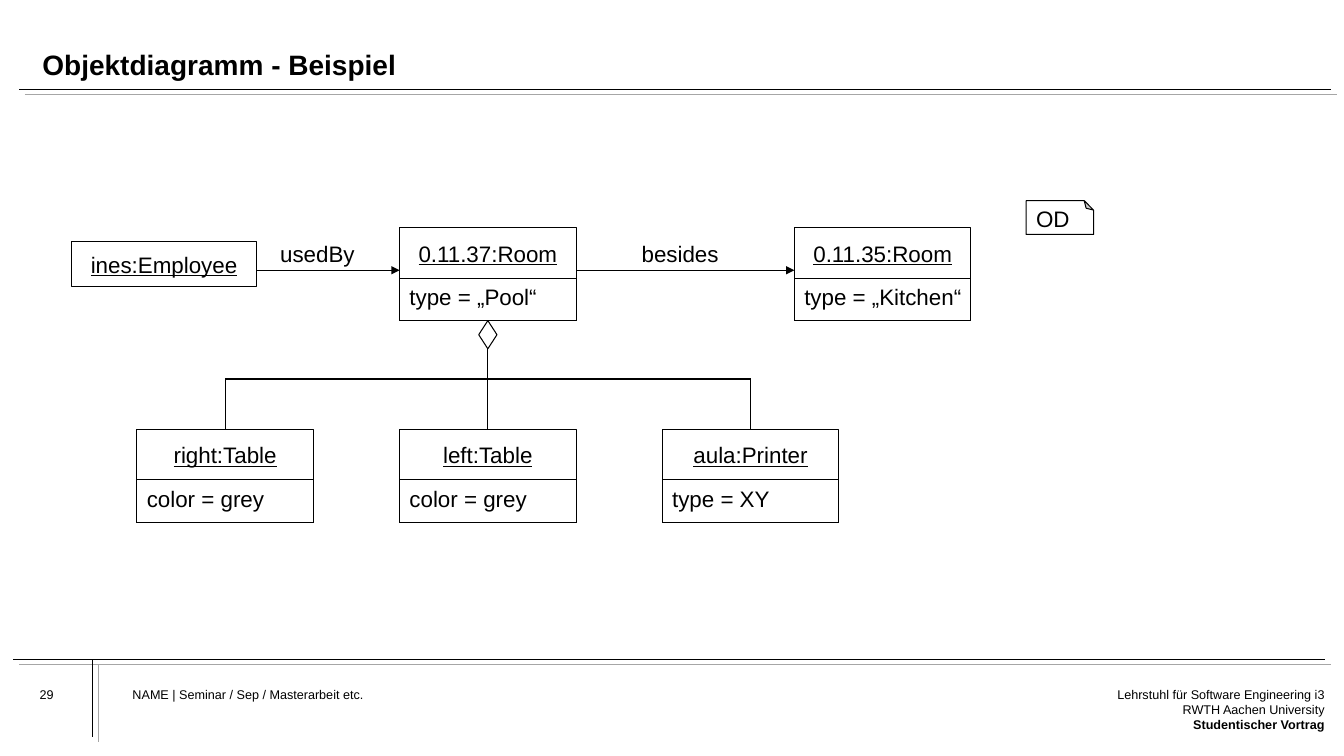
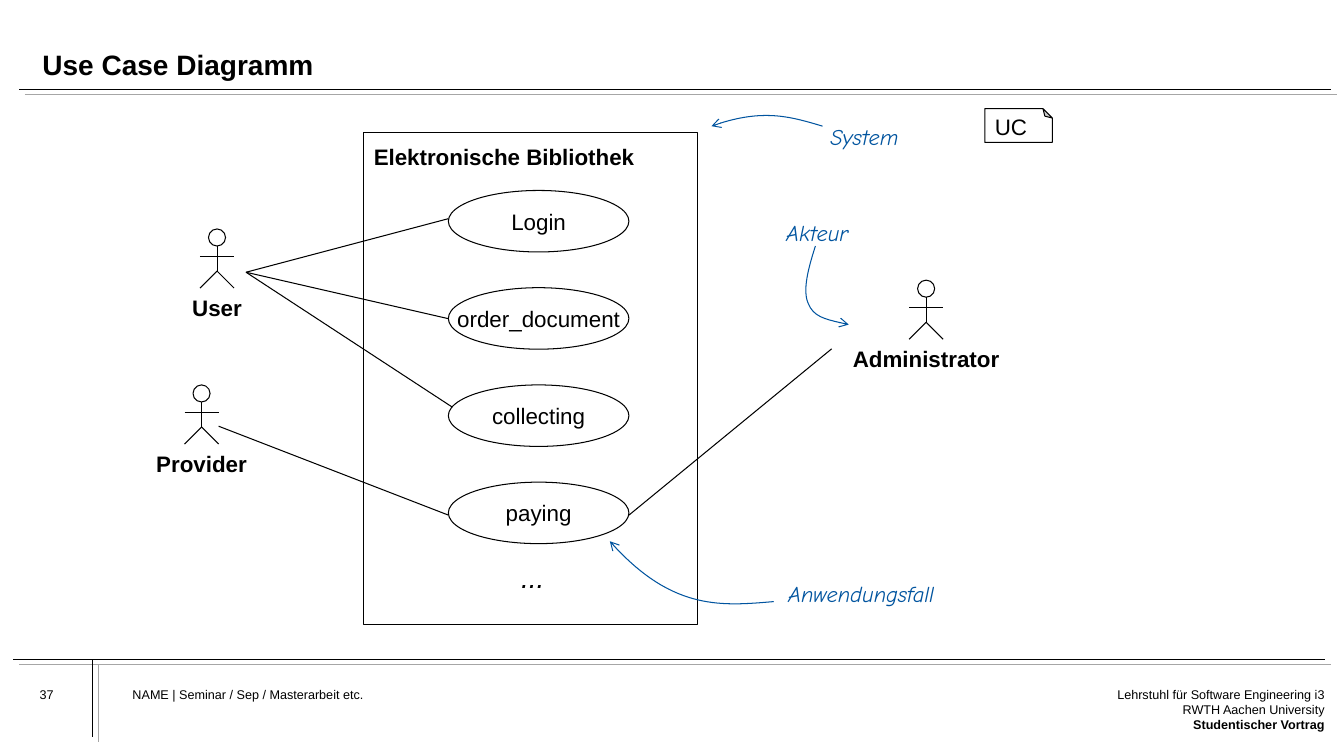
from dataclasses import dataclass
from typing import Optional

from lxml.etree import SubElement
from pptx import Presentation
from pptx.dml.color import RGBColor
from pptx.enum.shapes import MSO_AUTO_SHAPE_TYPE as Preset, MSO_CONNECTOR_TYPE as Link
from pptx.enum.text import MSO_ANCHOR as Anchor, PP_ALIGN as Align
from pptx.oxml.ns import qn
from pptx.shapes.autoshape import Shape
from pptx.slide import Slide
from pptx.util import Cm, Pt

Point = tuple[float, float]
Bounds = tuple[float, float, float, float]

# Colours and text formats
BLACK, GREY, WHITE, BLUE = "000000", "A6A6A6", "FFFFFF", "00549F"
BODY = {"name": "Arial", "size": Pt(16)}
STRONG = BODY | {"bold": True}
OBJECT_NAME = BODY | {"underline": True}
TITLE = STRONG | {"size": Pt(20)}
ELLIPSIS = BODY | {"size": Pt(20), "italic": True}
SMALL = BODY | {"size": Pt(9)}
SMALL_STRONG = SMALL | {"bold": True}
REMARK = {"name": "Comic Neue", "size": Pt(16), "italic": True}

NO_INSETS = (0, 0, 0, 0)
TEXT_INSETS = (0.25, 0.13, 0.25, 0.13)

# Object boxes
OBJECT_WIDTH, NAME_HEIGHT, ATTRIBUTE_HEIGHT = 4.45, 1.27, 1.07
OBJECT_HEIGHT = NAME_HEIGHT + ATTRIBUTE_HEIGHT


@dataclass
class ObjectBox:
    name: str
    attribute: str
    left: float
    top: float

    @property
    def middle(self) -> float:
        return self.left + OBJECT_WIDTH / 2


@dataclass
class Actor:
    name: str
    middle: float
    top: float


@dataclass
class Remark:
    text: str
    bounds: Bounds
    curve: list[Point]


# Basic parts
def colour(value: str) -> RGBColor:
    return RGBColor.from_string(value)


def write(shape: Shape, lines: list[tuple[str, dict]], ink: str = BLACK,
          align: Align = Align.LEFT, anchor: Anchor = Anchor.TOP, wrap: bool = True,
          insets: Bounds = TEXT_INSETS, spacing: float = 1.0) -> None:
    frame = shape.text_frame
    frame_format = {"word_wrap": wrap, "vertical_anchor": anchor}
    sides = ("margin_left", "margin_top", "margin_right", "margin_bottom")
    frame_format |= {side: Cm(inset) for side, inset in zip(sides, insets)}
    for key, value in frame_format.items():
        setattr(frame, key, value)
    for index, (text, font_format) in enumerate(lines):
        para = frame.add_paragraph() if index else frame.paragraphs[0]
        para.alignment, para.line_spacing = align, spacing
        span = para.add_run()
        span.text = text
        for key, value in font_format.items():
            setattr(span.font, key, value)
        span.font.color.rgb = colour(ink)


def add_text(page: Slide, bounds: Bounds, lines: list[tuple[str, dict]], **layout) -> None:
    write(page.shapes.add_textbox(*map(Cm, bounds)), lines, **layout)


def add_outline(page: Slide, preset: Preset, bounds: Bounds,
                fill: Optional[str] = None) -> Shape:
    shape = page.shapes.add_shape(preset, *map(Cm, bounds))
    shape.shadow.inherit = False
    if fill:
        shape.fill.solid()
        shape.fill.fore_color.rgb = colour(fill)
    else:
        shape.fill.background()
    set_line(shape, BLACK)
    return shape


def set_line(shape, ink: str, width: float = 0.75, arrow: Optional[str] = None) -> None:
    shape.line.color.rgb = colour(ink)
    shape.line.width = Pt(width)
    if arrow:
        outline = shape.element.spPr.find(qn("a:ln"))
        SubElement(outline, qn("a:tailEnd"), type=arrow)


def add_line(page: Slide, start: Point, end: Point, ink: str = BLACK,
             width: float = 0.75, arrow: Optional[str] = None) -> None:
    line = page.shapes.add_connector(Link.STRAIGHT, *map(Cm, start + end))
    set_line(line, ink, width, arrow)
    SubElement(line.element.spPr, qn("a:effectLst"))


def add_curve(page: Slide, points: list[Point]) -> None:
    start, *others = [(Cm(x), Cm(y)) for x, y in points]
    builder = page.shapes.build_freeform(*start)
    builder.add_line_segments(others, close=False)
    curve = builder.convert_to_shape()
    curve.shadow.inherit = False
    curve.fill.background()
    set_line(curve, BLUE, arrow="arrow")
    # Every three points after the start form one cubic segment
    segments = list(curve.element.iter(qn("a:lnTo")))
    for index in range(0, len(segments), 3):
        cubic = SubElement(segments[index].getparent(), qn("a:cubicBezTo"))
        for segment in segments[index:index + 3]:
            cubic.append(segment[0])
            segment.getparent().remove(segment)


# Shared frame: title, rules, footer and diagram tag
def add_frame(deck, title: str, number: int) -> Slide:
    page = deck.slides.add_slide(deck.slide_layouts[6])
    rules = [((0.48, 2.26), (33.55, 2.26)),
             ((0.33, 16.61), (33.38, 16.61)),
             ((2.34, 16.61), (2.34, 18.57))]
    for (x1, y1), (x2, y2) in rules:
        add_line(page, (x1, y1), (x2, y2), BLACK, 0.5)
        add_line(page, (x1 + 0.15, y1 + 0.13), (x2 + 0.15, y2 + 0.13), GREY, 0.5)
    add_text(page, (1.07, 0.56, 31.9, 1.5), [(title, TITLE)],
             anchor=Anchor.BOTTOM, insets=NO_INSETS, spacing=0.9)
    add_text(page, (1, 17.3, 2, 1.1), [(str(number), SMALL)], insets=NO_INSETS)
    add_text(page, (3.34, 17.3, 19.45, 1.75),
             [("NAME | Seminar / Sep / Masterarbeit etc.", SMALL)], insets=NO_INSETS)
    add_text(page, (25.9, 17.3, 7.48, 1.75),
             [("Lehrstuhl für Software Engineering i3", SMALL),
              ("RWTH Aachen University", SMALL),
              ("Studentischer Vortrag", SMALL_STRONG)],
             align=Align.RIGHT, insets=NO_INSETS)
    return page


def add_tag(page: Slide, text: str, left: float, top: float) -> None:
    tag = add_outline(page, Preset.FOLDED_CORNER, (left, top, 1.7, 0.85), WHITE)
    write(tag, [(text, BODY)], anchor=Anchor.MIDDLE, wrap=False, spacing=0.7)
    # The fold sits at the top, the text stays upright
    geometry = tag.element.spPr.find(qn("a:prstGeom"))
    SubElement(geometry.find(qn("a:avLst")), qn("a:gd"), name="adj", fmla="val 27600")
    tag.element.spPr.find(qn("a:xfrm")).set("flipV", "1")
    tag.element.txBody.find(qn("a:bodyPr")).set("rot", "10800000")


# Diagram parts
def add_object(page: Slide, item: ObjectBox) -> None:
    box = add_outline(page, Preset.RECTANGLE,
                      (item.left, item.top, OBJECT_WIDTH, OBJECT_HEIGHT))
    write(box, [(item.name, OBJECT_NAME)], align=Align.CENTER, insets=(0, 0.3, 0, 0))
    cell = add_outline(page, Preset.RECTANGLE,
                       (item.left, item.top + NAME_HEIGHT, OBJECT_WIDTH, ATTRIBUTE_HEIGHT))
    write(cell, [(item.attribute, BODY)], insets=(0.25, 0.13, 0, 0))


def add_actor(page: Slide, actor: Actor) -> None:
    x, y = actor.middle, actor.top
    head, arms, hip, feet, reach = 0.43, 0.69, 1.06, 1.49, 0.43
    add_outline(page, Preset.OVAL, (x - head / 2, y, head, head), WHITE)
    add_line(page, (x, y + head), (x, y + hip))
    add_line(page, (x - reach, y + arms), (x + reach, y + arms))
    for side in (-reach, reach):
        add_line(page, (x, y + hip), (x + side, y + feet))
    add_text(page, (x - 2.1, y + 1.51, 4.2, 0.94), [(actor.name, STRONG)],
             align=Align.CENTER)


# Slide: object diagram
def build_object_diagram(deck) -> None:
    page = add_frame(deck, "Objektdiagramm - Beispiel", 29)
    room_top, part_top, branch, link = 5.74, 10.82, 9.55, 6.81
    first_left, pitch = 3.45, 6.62
    pool = ObjectBox("0.11.37:Room", "type = „Pool“", first_left + pitch, room_top)
    kitchen = ObjectBox("0.11.35:Room", "type = „Kitchen“", 20.02, room_top)
    contents = [("right:Table", "color = grey"), ("left:Table", "color = grey"),
                ("aula:Printer", "type = XY")]
    parts = [ObjectBox(name, attribute, first_left + index * pitch, part_top)
             for index, (name, attribute) in enumerate(contents)]
    for item in (pool, kitchen, *parts):
        add_object(page, item)
    employee = add_outline(page, Preset.RECTANGLE, (1.8, 6.08, 4.67, 1.15))
    write(employee, [("ines:Employee", OBJECT_NAME)],
          align=Align.CENTER, anchor=Anchor.MIDDLE)

    # Associations
    add_line(page, (6.47, link), (pool.left, link), arrow="triangle")
    add_line(page, (pool.left + OBJECT_WIDTH, link), (kitchen.left, link), arrow="triangle")
    for label, left in (("usedBy", 6.81), ("besides", 15.92)):
        add_text(page, (left, 5.92, 2.5, 0.94), [(label, BODY)])

    # Aggregation
    diamond_top, diamond_width, diamond_height = room_top + OBJECT_HEIGHT, 0.46, 0.71
    add_outline(page, Preset.DIAMOND, (pool.middle - diamond_width / 2, diamond_top,
                                       diamond_width, diamond_height))
    add_line(page, (pool.middle, diamond_top + diamond_height), (pool.middle, branch))
    add_line(page, (parts[0].middle, branch), (parts[-1].middle, branch))
    for item in parts:
        add_line(page, (item.middle, branch), (item.middle, part_top))
    add_tag(page, "OD", 25.86, 5.06)


# Slide: use case diagram
def build_use_case_diagram(deck) -> None:
    page = add_frame(deck, "Use Case Diagramm", 37)
    system = add_outline(page, Preset.RECTANGLE, (9.17, 3.33, 8.41, 12.42), WHITE)
    write(system, [("Elektronische Bibliothek", STRONG)], insets=(0.25, 0.28, 0, 0))
    for index, name in enumerate(("Login", "order_document", "collecting", "paying")):
        case = add_outline(page, Preset.OVAL, (11.3, 4.8 + index * 2.45, 4.55, 1.55), WHITE)
        write(case, [(name, BODY)], align=Align.CENTER, anchor=Anchor.MIDDLE, wrap=False)
    add_text(page, (12.88, 14, 1.09, 1.09), [("...", ELLIPSIS)],
             align=Align.CENTER, wrap=False)

    # Actors and their use cases
    for actor in (Actor("Provider", 5.08, 9.7), Actor("User", 5.47, 5.77),
                  Actor("Administrator", 23.34, 7.06)):
        add_actor(page, actor)
    user = (6.2, 6.86)
    for start, end in ((user, (11.3, 5.51)), (user, (11.3, 8.03)), (user, (11.4, 10.26)),
                       ((5.51, 10.74), (11.3, 12.98)), ((15.85, 12.98), (20.96, 8.79))):
        add_line(page, start, end)

    # Remarks with curved arrows
    remarks = [
        Remark("Akteur", (19.56, 5.38, 2.74, 0.94),
               [(20.55, 6.2), (20.37, 6.76), (20.22, 7.32), (20.37, 7.65),
                (20.5, 7.98), (20.93, 8.08), (21.39, 8.18)]),
        Remark("Anwendungsfall", (19.61, 14.48, 5.36, 0.94),
               [(19.5, 15.16), (18.21, 15.27), (16.92, 15.39), (15.37, 13.64)]),
        Remark("System", (20.68, 2.97, 2.74, 0.94),
               [(20.73, 3.18), (19.96, 2.95), (19.2, 2.72), (17.93, 3.18)]),
    ]
    for remark in remarks:
        add_text(page, remark.bounds, [(remark.text, REMARK)], ink=BLUE)
        add_curve(page, remark.curve)
    add_tag(page, "UC", 24.82, 2.74)


def main() -> None:
    deck = Presentation()
    deck.slide_width, deck.slide_height = Cm(33.87), Cm(19.05)
    build_object_diagram(deck)
    build_use_case_diagram(deck)
    deck.save("out.pptx")


if __name__ == "__main__":
    main()
